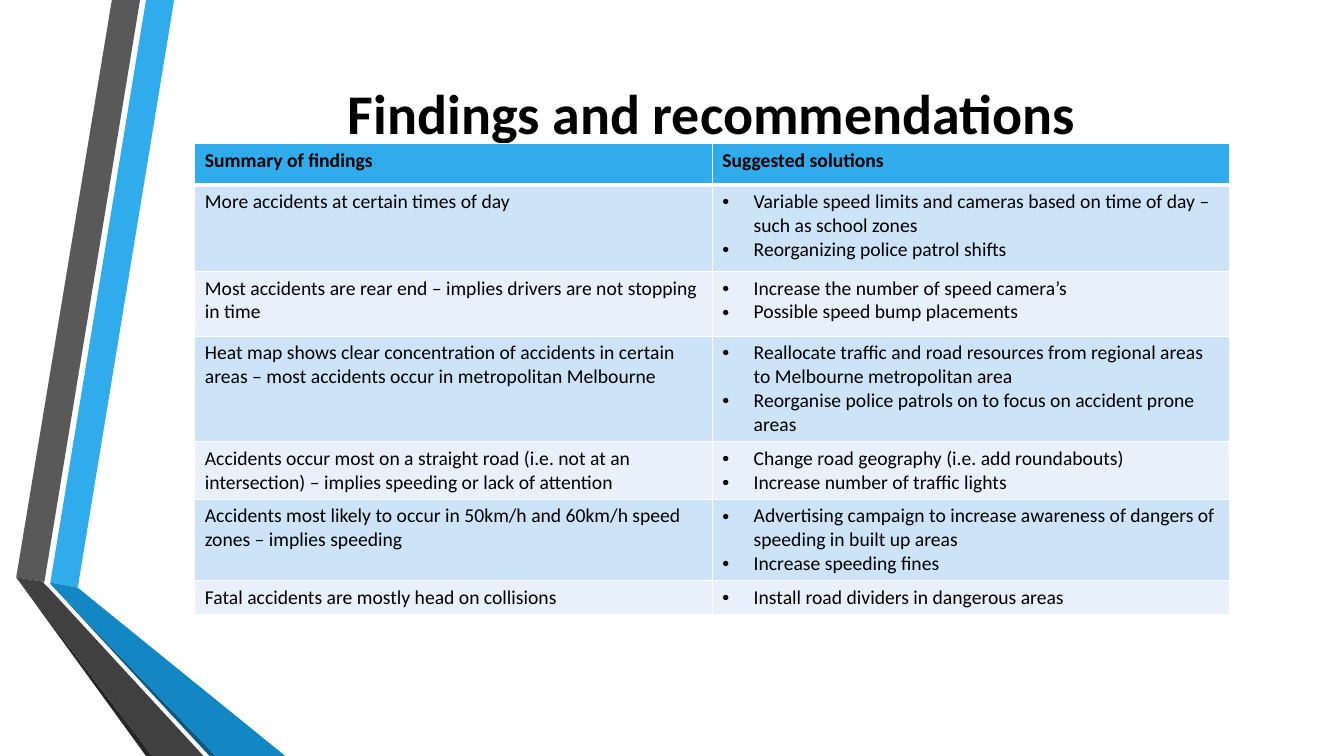
from dataclasses import dataclass

from lxml.etree import SubElement
from pptx import Presentation
from pptx.dml.color import RGBColor
from pptx.enum.text import MSO_ANCHOR, PP_ALIGN
from pptx.oxml.ns import qn
from pptx.util import Cm, Pt


@dataclass(frozen=True)
class Theme:
    font: str = "Calibri"
    title_size: int = 40
    table_size: int = 14
    text: str = "000000"
    border: str = "FFFFFF"
    header: str = "30ACEC"
    bands: tuple = ("CDE3F8", "E8F1FB")
    blue: str = "30ACEC"
    blue_dark: str = "1287C3"
    blue_shadow: str = "0C5A82"
    gray: str = "595959"
    gray_dark: str = "404040"
    gray_shadow: str = "262626"


THEME = Theme()
BULLET_INDENT = Cm(0.79)

RIBBONS = [
    (THEME.blue, [(1.27, 14.68), (1.96, 14.81), (4.39, 0), (3.68, 0)]),
    (THEME.gray, [(3.53, 0), (2.82, 0), (0.41, 14.55), (1.12, 14.66)]),
    (THEME.gray_shadow, [(0.41, 14.55), (3.68, 19.05), (3.84, 19.05)]),
    (THEME.blue_shadow, [(1.27, 14.71), (5.28, 19.05), (5.44, 19.05)]),
    (THEME.blue_dark, [(1.27, 14.68), (1.27, 14.71), (5.44, 19.05),
                       (7.19, 19.05), (1.96, 14.81)]),
    (THEME.gray_dark, [(5.13, 19.05), (1.22, 14.81), (1.09, 14.68),
                       (1.12, 14.66), (0.41, 14.55), (3.84, 19.05)]),
]

HEADERS = ("Summary of findings", "Suggested solutions")
FINDINGS = [
    ("More accidents at certain times of day",
     ["Variable speed limits and cameras based on time of day – such as school zones",
      "Reorganizing police patrol shifts"]),
    ("Most accidents are rear end – implies drivers are not stopping in time",
     ["Increase the number of speed camera’s",
      "Possible speed bump placements"]),
    ("Heat map shows clear concentration of accidents in certain areas – "
     "most accidents occur in metropolitan Melbourne",
     ["Reallocate traffic and road resources from regional areas to Melbourne metropolitan area",
      "Reorganise police patrols on to focus on accident prone areas"]),
    ("Accidents occur most on a straight road (i.e. not at an intersection) – "
     "implies speeding or lack of attention",
     ["Change road geography (i.e. add roundabouts)",
      "Increase number of traffic lights"]),
    ("Accidents most likely to occur in 50km/h and 60km/h speed zones – implies speeding",
     ["Advertising campaign to increase awareness of dangers of speeding in built up areas",
      "Increase speeding fines"]),
    ("Fatal accidents are mostly head on collisions",
     ["Install road dividers in dangerous areas"]),
]
ROW_HEIGHTS = [1.04, 2.18, 1.63, 2.66, 1.45, 2.05, 0.86]


def add_ribbon(slide, color, points):
    corners = [(Cm(x), Cm(y)) for x, y in points]
    builder = slide.shapes.build_freeform(*corners[0])
    builder.add_line_segments(corners[1:], close=True)
    shape = builder.convert_to_shape()
    shape.shadow.inherit = False
    shape.fill.solid()
    shape.fill.fore_color.rgb = RGBColor.from_string(color)
    shape.line.fill.background()


def format_runs(paragraph, size, bold):
    for run in paragraph.runs:
        run.font.name = THEME.font
        run.font.size = Pt(size)
        run.font.bold = bold
        run.font.color.rgb = RGBColor.from_string(THEME.text)


def add_title(slide, text):
    box = slide.shapes.add_textbox(Cm(4.01), Cm(0.38), Cm(27.84), Cm(4.88))
    text_frame = box.text_frame
    text_frame.word_wrap = True
    text_frame.vertical_anchor = MSO_ANCHOR.MIDDLE
    text_frame.text = text
    paragraph = text_frame.paragraphs[0]
    paragraph.alignment = PP_ALIGN.CENTER
    format_runs(paragraph, THEME.title_size, True)


def add_bullet(paragraph):
    properties = paragraph._p.get_or_add_pPr()
    properties.set("marL", str(BULLET_INDENT))
    properties.set("indent", str(-BULLET_INDENT))
    SubElement(properties, qn("a:buFont"), typeface="Arial")
    SubElement(properties, qn("a:buChar"), char="•")


def set_borders(cell, top, bottom):
    properties = cell._tc.get_or_add_tcPr()
    sides = (("a:lnL", 1), ("a:lnR", 1), ("a:lnT", top), ("a:lnB", bottom))
    for tag, width in sides:
        line = SubElement(properties, qn(tag), w=str(Pt(width)))
        fill = SubElement(line, qn("a:solidFill"))
        SubElement(fill, qn("a:srgbClr"), val=THEME.border)


def fill_cell(cell, lines, color, bold=False, bulleted=False, top=1, bottom=1):
    set_borders(cell, top, bottom)
    cell.fill.solid()
    cell.fill.fore_color.rgb = RGBColor.from_string(color)
    cell.text_frame.text = "\n".join(lines)
    for paragraph in cell.text_frame.paragraphs:
        format_runs(paragraph, THEME.table_size, bold)
        if bulleted:
            add_bullet(paragraph)


def add_findings_table(slide):
    frame = slide.shapes.add_table(len(ROW_HEIGHTS), len(HEADERS), Cm(4.91), Cm(3.62),
                                   Cm(26.08), Cm(sum(ROW_HEIGHTS)))
    table = frame.table
    for row, height in zip(table.rows, ROW_HEIGHTS):
        row.height = Cm(height)
    for column, header in enumerate(HEADERS):
        fill_cell(table.cell(0, column), [header], THEME.header, bold=True, bottom=3)
    for row, (finding, solutions) in enumerate(FINDINGS, start=1):
        color = THEME.bands[(row - 1) % 2]
        top = 3 if row == 1 else 1
        fill_cell(table.cell(row, 0), [finding], color, top=top)
        fill_cell(table.cell(row, 1), solutions, color, bulleted=True, top=top)


def main():
    presentation = Presentation()
    presentation.slide_width = Cm(33.87)
    presentation.slide_height = Cm(19.05)
    slide = presentation.slides.add_slide(presentation.slide_layouts[6])
    for color, points in RIBBONS:
        add_ribbon(slide, color, points)
    add_title(slide, "Findings and recommendations")
    add_findings_table(slide)
    presentation.save("out.pptx")


if __name__ == "__main__":
    main()
